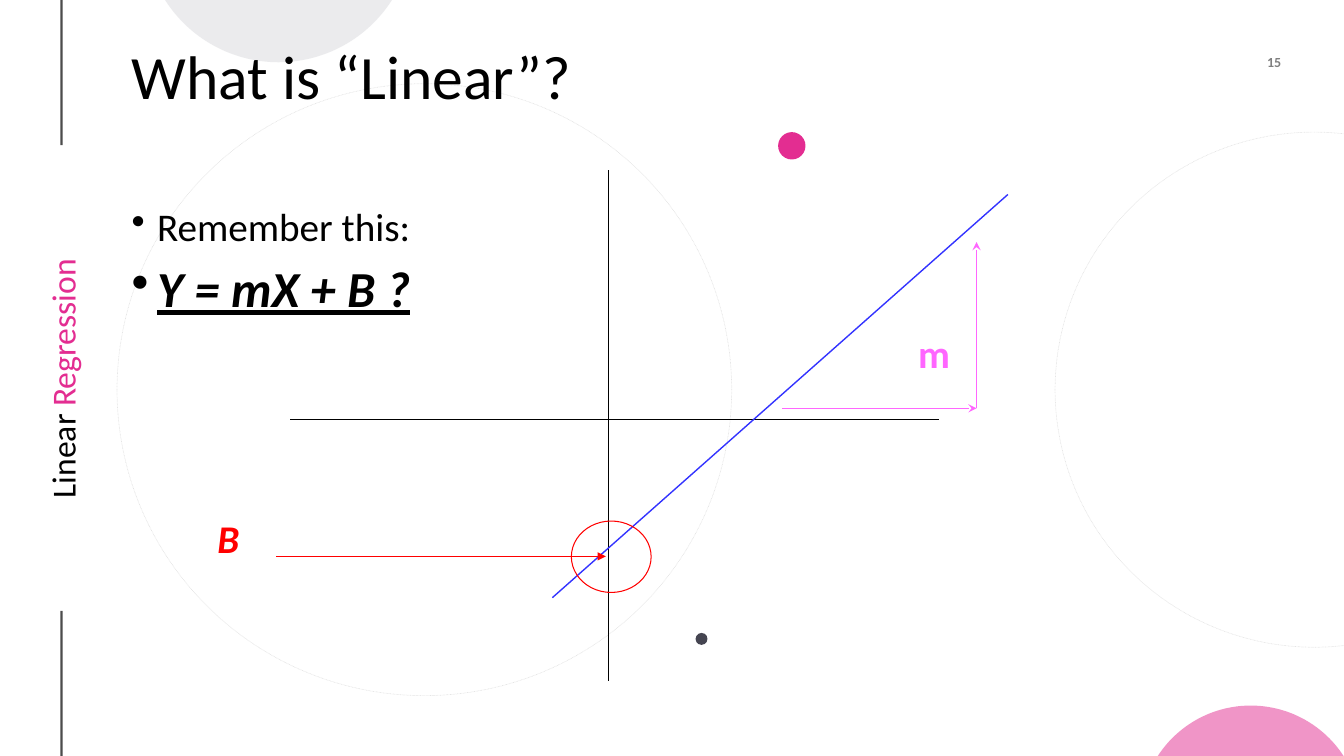
import math
from dataclasses import dataclass

from lxml import etree
from pptx import Presentation
from pptx import util as u
from pptx.dml.color import RGBColor
from pptx.enum import dml, shapes, text
from pptx.oxml.ns import qn


@dataclass(frozen=True)
class Theme:
    font: str = "Calibri"
    ink: str = "000000"
    accent: str = "E32D91"
    slate: str = "454551"
    mist: str = "D8D9DC"
    fit: str = "3333FF"
    intercept: str = "FF0000"
    slope: str = "FF66FF"
    title: int = 44
    formula: int = 36
    body: int = 28
    side: int = 24
    number: int = 10
    thin: float = 0.75


THEME = Theme()
WIDTH, HEIGHT = 33.87, 19.05


def set_all(target, values):
    for name, value in values.items():
        setattr(target, name, value)


def set_opacity(shape, percent):
    for color in shape.element.iter(qn("a:srgbClr")):
        etree.SubElement(color, qn("a:alpha"), val=str(percent * 1000))


class SlideBuilder:
    def __init__(self, deck, theme):
        self.theme = theme
        self.page = deck.slides.add_slide(deck.slide_layouts[5])
        self.shapes = self.page.shapes

    def fill_text(self, box, lines, frame_format=None, para_format=None):
        """Fill a box with lines, each a list of (words, font format) spans."""
        frame = box.text_frame
        set_all(frame, {"word_wrap": True, "auto_size": text.MSO_AUTO_SIZE.NONE,
                        **(frame_format or {})})
        for index, spans in enumerate(lines):
            para = frame.add_paragraph() if index else frame.paragraphs[0]
            set_all(para, para_format or {})
            for words, font_format in spans:
                span = para.add_run()
                span.text = words
                values = {"name": self.theme.font, **font_format}
                color = values.pop("color", self.theme.ink)
                set_all(span.font, values)
                span.font.color.rgb = RGBColor.from_string(color)

    def title(self, words):
        box = self.shapes.title
        place = zip(("left", "top", "width", "height"), (3.07, 1.02, 28.47, 1.96))
        set_all(box, {name: u.Cm(value) for name, value in place})
        self.fill_text(box, [[(words, {"size": u.Pt(self.theme.title)})]],
                       {"vertical_anchor": text.MSO_ANCHOR.MIDDLE},
                       {"alignment": text.PP_ALIGN.LEFT, "line_spacing": 0.9})
        box.element.getparent().append(box.element)  # in front of the backdrop

    def text_box(self, place, lines, frame_format=None, para_format=None):
        box = self.shapes.add_textbox(*map(u.Cm, place))
        self.fill_text(box, lines, frame_format, para_format)
        return box

    def bullets(self, place, lines, frame_format):
        box = self.text_box(place, lines, frame_format, {"line_spacing": 0.9})
        for para in box.text_frame.paragraphs[1:]:
            para.space_before = u.Pt(10)
        indent = u.Cm(0.64)
        for props in box.element.iter(qn("a:pPr")):
            props.set("marL", str(indent))
            props.set("indent", str(-indent))
            etree.SubElement(props, qn("a:buChar"), char="•")

    def paint(self, shape, fill=None, line=None, width=THEME.thin):
        shape.shadow.inherit = False
        if fill:
            shape.fill.solid()
            shape.fill.fore_color.rgb = RGBColor.from_string(fill)
        else:
            shape.fill.background()
        if line:
            shape.line.color.rgb = RGBColor.from_string(line)
            shape.line.width = u.Pt(width)
        else:
            shape.line.fill.background()

    def ellipse(self, place, **paint):
        shape = self.shapes.add_shape(shapes.MSO_SHAPE.OVAL, *map(u.Cm, place))
        self.paint(shape, **paint)
        return shape

    def dotted_ring(self, place):
        ring = self.ellipse(place, line=self.theme.ink, width=0.5)
        ring.line.dash_style = dml.MSO_LINE.ROUND_DOT
        set_opacity(ring, 10)

    def edge_cap(self, center, edge, half_chord, depth, inward, color):
        """Draw the part of a disc that shows inside a horizontal slide edge."""
        radius = (half_chord ** 2 + depth ** 2) / (2 * depth)
        sweep = math.asin(half_chord / radius)
        steps = 60
        points = []
        for step in range(steps + 1):
            angle = sweep * (2 * step / steps - 1)
            rise = radius * math.cos(angle) - radius + depth
            points.append((u.Cm(center + radius * math.sin(angle)),
                           u.Cm(edge + inward * rise)))
        outline = self.shapes.build_freeform(*points[0])
        outline.add_line_segments(points[1:], close=True)
        cap = outline.convert_to_shape()
        self.paint(cap, fill=color)
        set_opacity(cap, 50)

    def line(self, start, end, color, width=THEME.thin, arrow=None):
        line = self.shapes.add_connector(shapes.MSO_CONNECTOR.STRAIGHT,
                                         *map(u.Cm, (*start, *end)))
        line.line.color.rgb = RGBColor.from_string(color)
        line.line.width = u.Pt(width)
        if arrow:
            etree.SubElement(line.element.spPr.find(qn("a:ln")), qn("a:tailEnd"), type=arrow)
        etree.SubElement(line.element.spPr, qn("a:effectLst"))
        return line


def add_backdrop(slide, theme):
    rail_x, rail_length = 1.55, 3.66
    for top in (0, HEIGHT - rail_length):
        rail = slide.line((rail_x, top), (rail_x, top + rail_length), theme.ink, 1.5)
        set_opacity(rail, 70)

    middle = {"vertical_anchor": text.MSO_ANCHOR.MIDDLE}
    sides = ("margin_left", "margin_top", "margin_right", "margin_bottom")
    side_size = {"size": u.Pt(theme.side)}
    side_label = slide.text_box(
        (-4.29, 8.97, 11.71, 1.14),
        [[("Linear ", side_size), ("Regression", {**side_size, "color": theme.accent})]],
        {**middle, **dict.fromkeys(sides, u.Cm(0.05))},
        {"alignment": text.PP_ALIGN.CENTER})
    side_label.rotation = 270
    number = slide.text_box(
        (30.33, 1.22, 1.96, 0.69),
        [[("15", {"size": u.Pt(theme.number), "bold": True})]],
        {**middle, **dict.fromkeys(sides, 0)},
        {"alignment": text.PP_ALIGN.RIGHT})
    set_opacity(number, 50)

    slide.dotted_ring((26.59, 3.33, 13.06, 12.98))
    slide.dotted_ring((2.95, 2.11, 15.49, 15.42))
    slide.ellipse((17.53, 15.95, 0.3, 0.3), fill=theme.slate)
    slide.ellipse((19.61, 3.33, 0.69, 0.69), fill=theme.accent)
    slide.edge_cap(31.52, HEIGHT, 2.34, 1.27, -1, theme.accent)
    slide.edge_cap(7.02, 0, 2.86, 1.57, 1, theme.mist)


def add_graph(slide, theme):
    slide.line((15.34, 4.29), (15.34, 17.15), theme.ink)
    slide.line((7.32, 10.57), (23.67, 10.57), theme.ink)
    slide.line((13.92, 15.06), (25.4, 4.9), theme.fit, 1)

    label = {"size": u.Pt(theme.body), "bold": True}
    slide.ellipse((14.4, 13.13, 2.01, 1.8), line=theme.intercept)
    slide.text_box((5.23, 12.83, 2.59, 2.06),
                   [[("B", {**label, "italic": True, "color": theme.intercept})]])
    slide.line((6.96, 14.02), (15.27, 14.02), theme.intercept, arrow="triangle")

    corner = (24.61, 10.29)
    slide.line((19.71, 10.29), corner, theme.slope, arrow="stealth")
    slide.line(corner, (24.61, 6.1), theme.slope, arrow="stealth")
    slide.text_box((22.89, 8.18, 3.45, 2.06), [[("m", {**label, "color": theme.slope})]])


def main():
    deck = Presentation()
    set_all(deck, {"slide_width": u.Cm(WIDTH), "slide_height": u.Cm(HEIGHT)})
    slide = SlideBuilder(deck, THEME)
    add_backdrop(slide, THEME)
    slide.title("What is “Linear”?")
    formula = {"size": u.Pt(THEME.formula), "bold": True, "italic": True, "underline": True}
    slide.bullets((3.07, 3.76, 28.47, 13.41),
                  [[("Remember this:", {"size": u.Pt(THEME.body)})],
                   [("Y = mX + B ?", formula)]],
                  {"margin_top": u.Cm(1.47)})
    add_graph(slide, THEME)
    deck.save("out.pptx")


if __name__ == "__main__":
    main()
